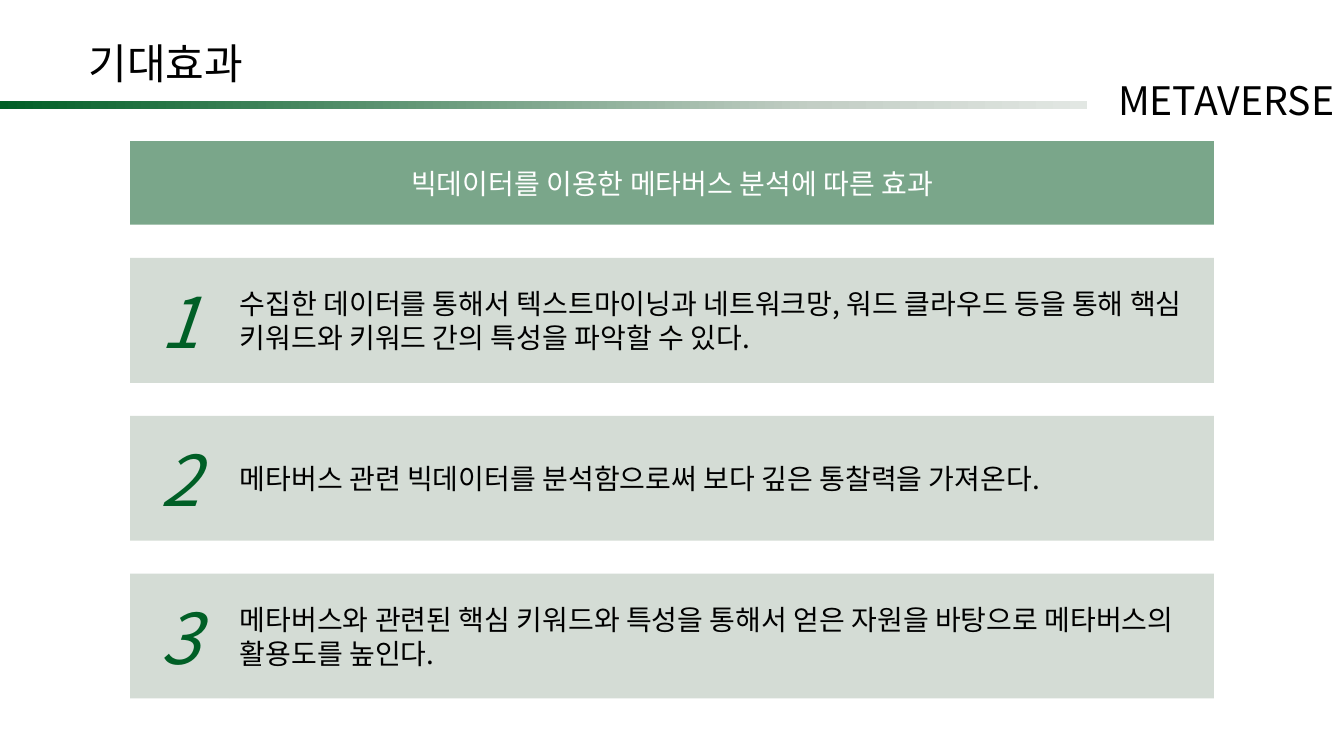
"""Build the expected-effects slide: title, gradient rule, banner and three numbered rows."""
from copy import deepcopy

from lxml import etree
from pptx import Presentation
from pptx.dml.color import RGBColor
from pptx.enum.shapes import MSO_SHAPE
from pptx.enum.text import MSO_ANCHOR, PP_ALIGN
from pptx.oxml.ns import qn
from pptx.util import Inches, Pt

RECT = MSO_SHAPE.RECTANGLE
TOP, MIDDLE = MSO_ANCHOR.TOP, MSO_ANCHOR.MIDDLE
LEFT, CENTER, RIGHT = PP_ALIGN.LEFT, PP_ALIGN.CENTER, PP_ALIGN.RIGHT

THEME = {
    "font": "Noto Sans CJK KR",
    "ink": "000000", "white": "FFFFFF", "dark": "005F26",
    "band": "7AA68A", "pale": "D4DCD5",
    "fade": [(0, "005F26"), (0.75, "C3CEC5"), (1, "E2E7E3")],
    "title": 30, "brand": 28, "body": 20, "digit": 50,
}
WIDE, HIGH = 13.33, 7.5
EDGE, SPAN, SPLIT = 1.29, 10.75, 2.28
START, STEP, TALL = 2.56, 1.565, 1.24
RULE = 10.78

ROWS = [
    "수집한 데이터를 통해서 텍스트마이닝과 네트워크망, 워드 클라우드 등을 통해 핵심 키워드와 키워드 간의 특성을 파악할 수 있다.",
    "메타버스 관련 빅데이터를 분석함으로써 보다 깊은 통찰력을 가져온다.",
    "메타버스와 관련된 핵심 키워드와 특성을 통해서 얻은 자원을 바탕으로 메타버스의 활용도를 높인다.",
]


def write(shape, text, size, color, align=LEFT, anchor=MIDDLE, wrap=True, italic=None):
    """Put one styled run into a shape."""
    frame = shape.text_frame
    frame.word_wrap, frame.vertical_anchor = wrap, anchor
    line = frame.paragraphs[0]
    line.alignment = align
    run = line.add_run()
    run.text = text
    form = {"name": THEME["font"], "size": Pt(THEME[size]), "italic": italic}
    for key, value in form.items():
        setattr(run.font, key, value)
    run.font.color.rgb = RGBColor.from_string(THEME[color])
    east = etree.SubElement(run._r.get_or_add_rPr(), qn("a:ea"))
    east.set("typeface", THEME["font"])


def block(home, box, fill):
    """Add a plain borderless rectangle."""
    shape = home.add_shape(RECT, *map(Inches, box))
    shape.shadow.inherit = False
    shape.line.fill.background()
    shape.fill.solid()
    shape.fill.fore_color.rgb = RGBColor.from_string(THEME[fill])
    return shape


deck = Presentation()
deck.slide_width, deck.slide_height = Inches(WIDE), Inches(HIGH)
shapes = deck.slides.add_slide(deck.slide_layouts[6]).shapes

title = shapes.add_textbox(*map(Inches, (0.78, 0.32, 1.73, 0.61)))
write(title, "기대효과", "title", "ink", anchor=TOP, wrap=False)

banner = block(shapes, (EDGE, 1.4, SPAN, 0.83), "band")
write(banner, "빅데이터를 이용한 메타버스 분석에 따른 효과", "body", "white", CENTER)

for index, text in enumerate(ROWS):
    top = START + index * STEP
    group = shapes.add_group_shape().shapes
    body = block(group, (SPLIT, top, EDGE + SPAN - SPLIT, TALL), "pale")
    write(body, text, "body", "ink")
    digit = block(group, (EDGE, top, SPLIT - EDGE, TALL), "pale")
    write(digit, str(index + 1), "digit", "dark", CENTER, italic=True)

rule = block(shapes, (0, 1, RULE, 0.08), "dark")
rule.fill.gradient()
rule.fill.gradient_angle = 0
last = rule._element.xpath(".//a:gs")[-1]
last.addnext(deepcopy(last))
for stop, (place, color) in zip(rule.fill.gradient_stops, THEME["fade"]):
    stop.position = place
    stop.color.rgb = RGBColor.from_string(color)

brand = shapes.add_textbox(*map(Inches, (RULE, 0.71, WIDE - RULE, 0.57)))
write(brand, "METAVERSE", "brand", "ink", RIGHT, TOP)

deck.save("out.pptx")
